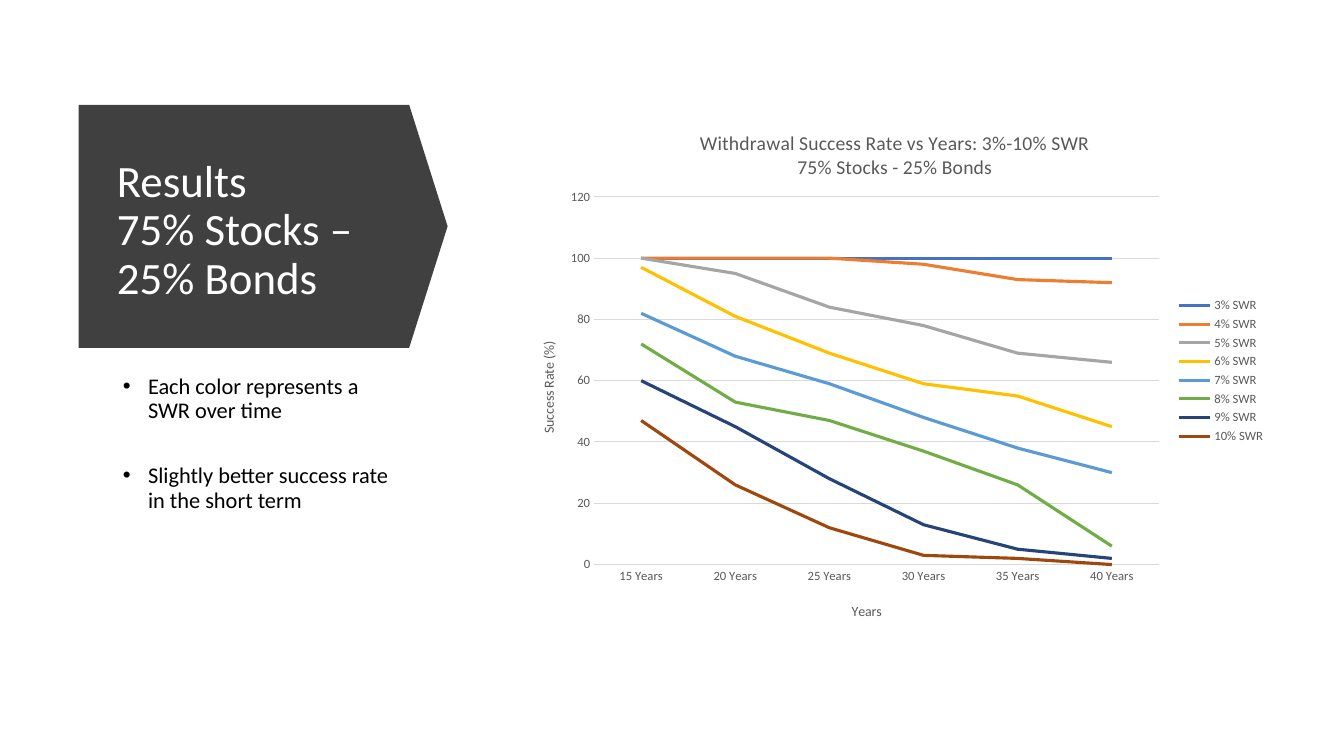
from lxml import etree
from pptx import Presentation
from pptx.chart.data import CategoryChartData
from pptx.dml.color import RGBColor
from pptx.enum.chart import XL_CHART_TYPE, XL_LEGEND_POSITION, XL_TICK_MARK
from pptx.enum.shapes import MSO_SHAPE
from pptx.enum.text import MSO_ANCHOR, MSO_AUTO_SIZE, PP_ALIGN
from pptx.oxml.ns import qn
from pptx.util import Inches, Pt

LINE = XL_CHART_TYPE.LINE
RIGHT = XL_LEGEND_POSITION.RIGHT
NO_TICK = XL_TICK_MARK.NONE
PENTAGON = MSO_SHAPE.PENTAGON
MIDDLE = MSO_ANCHOR.MIDDLE
NO_FIT = MSO_AUTO_SIZE.NONE
LEFT = PP_ALIGN.LEFT

FONT = "Calibri"
WHITE = RGBColor(0xFF, 0xFF, 0xFF)
BLACK = RGBColor(0, 0, 0)
DARK = RGBColor(0x40, 0x40, 0x40)
GRAY = RGBColor(0x59, 0x59, 0x59)
PALE = RGBColor(0xD9, 0xD9, 0xD9)

TITLE = "Results\v75% Stocks – 25% Bonds"
POINTS = [
    "Each color represents a SWR over time",
    "Slightly better success rate in the short term",
]
HEADING = "Withdrawal Success Rate vs Years: 3%-10% SWR\n75% Stocks - 25% Bonds"
YEARS = [f"{n} Years" for n in range(15, 41, 5)]
RATES = [
    ("3% SWR", (100, 100, 100, 100, 100, 100), RGBColor(0x44, 0x72, 0xC4)),
    ("4% SWR", (100, 100, 100, 98, 93, 92), RGBColor(0xED, 0x7D, 0x31)),
    ("5% SWR", (100, 95, 84, 78, 69, 66), RGBColor(0xA5, 0xA5, 0xA5)),
    ("6% SWR", (97, 81, 69, 59, 55, 45), RGBColor(0xFF, 0xC0, 0x00)),
    ("7% SWR", (82, 68, 59, 48, 38, 30), RGBColor(0x5B, 0x9B, 0xD5)),
    ("8% SWR", (72, 53, 47, 37, 26, 6), RGBColor(0x70, 0xAD, 0x47)),
    ("9% SWR", (60, 45, 28, 13, 5, 2), RGBColor(0x26, 0x44, 0x78)),
    ("10% SWR", (47, 26, 12, 3, 2, 0), RGBColor(0x9E, 0x48, 0x0E)),
]


def box(*sides):
    return [Inches(side) for side in sides]


def style(font, size, color):
    font.name = FONT
    font.size = Pt(size)
    font.bold = False
    font.color.rgb = color


def place(part, index, **spots):
    for old in part.findall(qn("c:layout")):
        part.remove(old)
    layout = etree.Element(qn("c:layout"))
    part.insert(index, layout)
    manual = etree.SubElement(layout, qn("c:manualLayout"))
    if "w" in spots:
        etree.SubElement(manual, qn("c:layoutTarget")).set("val", "inner")
    for mode in ("xMode", "yMode"):
        etree.SubElement(manual, qn("c:" + mode)).set("val", "edge")
    for key, spot in spots.items():
        etree.SubElement(manual, qn("c:" + key)).set("val", str(spot))


def label(title, text, size, x, y):
    frame = title.text_frame
    frame.text = text
    for para in frame.paragraphs:
        style(para.font, size, GRAY)
    place(title._element, 1, x=x, y=y)


def add_title(slide):
    arrow = slide.shapes.add_shape(PENTAGON, *box(0.78, 1.04, 3.66, 2.41))
    arrow.adjustments[0] = 0.158
    arrow.shadow.inherit = False
    arrow.fill.solid()
    arrow.fill.fore_color.rgb = DARK
    arrow.line.fill.background()
    title = slide.shapes.title
    arrow._element.addnext(title._element)
    title.left, title.top, title.width, title.height = box(1.06, 1.32, 2.92, 1.95)
    frame = title.text_frame
    frame.text = TITLE
    frame.word_wrap = True
    frame.auto_size = NO_FIT
    frame.vertical_anchor = MIDDLE
    para = frame.paragraphs[0]
    para.alignment = LEFT
    para.line_spacing = 0.9
    style(para.font, 32, WHITE)


def add_points(slide):
    frame = slide.shapes.add_textbox(*box(1.06, 3.67, 2.92, 2.65)).text_frame
    frame.word_wrap = True
    frame.text = "\n".join(POINTS)
    for para in frame.paragraphs:
        para.line_spacing = 0.9
        para.space_after = Pt(29.5)
        style(para.font, 16, BLACK)
        props = para._p.get_or_add_pPr()
        props.set("marL", str(Inches(0.31)))
        props.set("indent", str(Inches(-0.25)))
        etree.SubElement(props, qn("a:buFont")).set("typeface", "Arial")
        etree.SubElement(props, qn("a:buChar")).set("char", "•")
        props.append(props.find(qn("a:defRPr")))


def add_rates(slide):
    data = CategoryChartData()
    data.categories = YEARS
    for name, rates, _ in RATES:
        data.add_series(name, rates)
    chart = slide.shapes.add_chart(LINE, *box(5.1, 1.04, 7.55, 5.28), data).chart
    style(chart.font, 10, BLACK)
    label(chart.chart_title, HEADING, 14, 0.24, 0.04)

    plot = chart.plots[0]
    plot.vary_by_categories = False
    for line, (_, _, color) in zip(plot.series, RATES):
        line.smooth = False
        line.format.line.color.rgb = color
        line.format.line.width = Pt(2.25)
    area = chart._chartSpace.chart.plotArea
    place(area, 0, x=0.105, y=0.173, w=0.742, h=0.691)

    years, rate = chart.category_axis, chart.value_axis
    for axis in (years, rate):
        axis.major_tick_mark = axis.minor_tick_mark = NO_TICK
        style(axis.tick_labels.font, 9, GRAY)
    label(years.axis_title, "Years", 10, 0.44, 0.93)
    label(rate.axis_title, "Success Rate (%)", 10, 0.03, 0.44)
    rate.minimum_scale, rate.maximum_scale, rate.major_unit = 0, 120, 20
    rate.format.line.fill.background()
    for rule in (years.format.line, rate.major_gridlines.format.line):
        rule.color.rgb = PALE
        rule.width = Pt(0.75)

    chart.has_legend = True
    chart.legend.position = RIGHT
    chart.legend.include_in_layout = False
    style(chart.legend.font, 9, GRAY)


def main():
    deck = Presentation()
    deck.slide_width, deck.slide_height = box(13.33, 7.5)
    slide = deck.slides.add_slide(deck.slide_layouts[5])
    add_title(slide)
    add_points(slide)
    add_rates(slide)
    deck.save("out.pptx")


if __name__ == "__main__":
    main()
